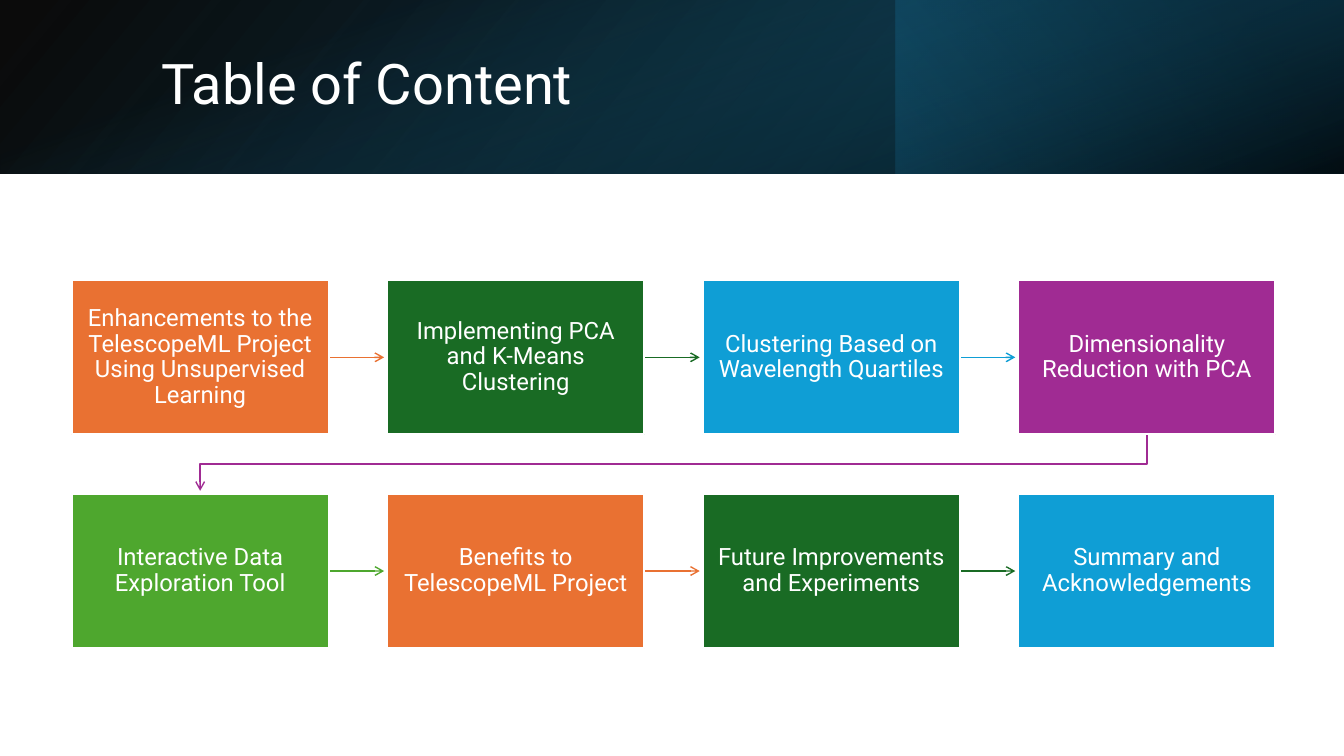
from lxml.etree import SubElement as Sub
from pptx import Presentation
from pptx.dml.color import RGBColor as RGB
from pptx.enum.shapes import MSO_CONNECTOR as Conn, MSO_SHAPE as Shape
from pptx.enum.text import MSO_ANCHOR as Anchor, PP_ALIGN as Align
from pptx.oxml.ns import qn
from pptx.util import Inches, Pt

WHITE = RGB(0xFF, 0xFF, 0xFF)
BLACK = RGB(0x00, 0x00, 0x00)
NAVY = RGB(0x10, 0x48, 0x62)
DEEP = RGB(0x0B, 0x30, 0x41)
TEAL = RGB(0x15, 0x60, 0x82)
ORANGE = RGB(0xE9, 0x71, 0x32)
GREEN = RGB(0x19, 0x6B, 0x24)
BLUE = RGB(0x0F, 0x9E, 0xD5)
PURPLE = RGB(0xA0, 0x2B, 0x93)
LIME = RGB(0x4E, 0xA7, 0x2E)
CYCLE = [ORANGE, GREEN, BLUE, PURPLE, LIME]

TOPICS = [
    "Enhancements to the TelescopeML Project Using Unsupervised Learning",
    "Implementing PCA and K-Means Clustering",
    "Clustering Based on Wavelength Quartiles",
    "Dimensionality Reduction with PCA",
    "Interactive Data Exploration Tool",
    "Benefits to TelescopeML Project",
    "Future Improvements and Experiments",
    "Summary and Acknowledgements",
]

COLS = 4
LEFT, TOP = 0.71, 2.78
WIDE, HIGH = 2.55, 1.53
STEP, DROP = 3.13, 2.12
GAP = 0.03
BAND = 1.72


class Deck:
    """Holds the style and the current slide, and draws each kind of element."""

    def __init__(self, font="Roboto", wide=13.33, high=7.5):
        self.font, self.wide = font, wide
        self.prs = Presentation()
        self.prs.slide_width, self.prs.slide_height = Inches(wide), Inches(high)
        self.slide = self.prs.slides.add_slide(self.prs.slide_layouts[5])
        self.shapes = self.slide.shapes

    def cell(self, num):
        """Return the left and top of a numbered grid cell."""
        row, col = divmod(num, COLS)
        return LEFT + col * STEP, TOP + row * DROP

    def rect(self, x, y, w, h):
        """Add a plain rectangle."""
        box = self.shapes.add_shape(Shape.RECTANGLE, *map(Inches, (x, y, w, h)))
        box.shadow.inherit = False
        return box

    def label(self, shape, text, size, align):
        """Put one white paragraph in a shape, centred in height."""
        frame = shape.text_frame
        frame.text = text
        frame.word_wrap = True
        frame.vertical_anchor = Anchor.MIDDLE
        para = frame.paragraphs[0]
        para.alignment, para.line_spacing = align, 0.9
        font = para.runs[0].font
        font.name, font.size, font.color.rgb = self.font, Pt(size), WHITE
        return frame

    def shade(self, area, stops, angle, turn=0, flip=False):
        """Add a rectangle with a two-stop gradient that is partly see-through."""
        box = self.rect(*area)
        box.rotation = turn
        box.line.fill.background()
        box.fill.gradient()
        box.fill.gradient_angle = 360 - angle
        for stop, (place, color, alpha) in zip(box.fill.gradient_stops, stops):
            stop.position, stop.color.rgb = place, color
        props = box._element.spPr
        for tint, (place, color, alpha) in zip(props.iter(qn("a:srgbClr")), stops):
            Sub(tint, qn("a:alpha")).set("val", str(alpha * 1000))
        if flip:
            props.xfrm.set("flipH", "1")

    def title(self, text):
        """Place the title above the band."""
        head = self.shapes.title
        head.left, head.top = Inches(1.5), Inches(0.38)
        head.width, head.height = Inches(10.98), Inches(0.96)
        self.label(head, text, 40, Align.LEFT)
        self.shapes._spTree.append(head._element)

    def card(self, num, text, color):
        """Fill a grid cell with a coloured topic."""
        box = self.rect(*self.cell(num), WIDE, HIGH)
        box.fill.solid()
        box.fill.fore_color.rgb = color
        box.line.color.rgb, box.line.width = WHITE, Pt(1.5)
        frame = self.label(box, text, 17, Align.CENTER)
        frame.margin_left = frame.margin_right = Inches(0.12)
        frame.margin_top = frame.margin_bottom = Inches(0.13)

    def link(self, num, color):
        """Draw the arrow from a grid cell to the next one."""
        x, y = self.cell(num)
        to_x, to_y = self.cell(num + 1)
        if y == to_y:
            mid = Inches(y + HIGH / 2)
            line = self.shapes.add_connector(
                Conn.STRAIGHT, Inches(x + WIDE), mid, Inches(to_x - GAP), mid)
        else:
            start, end = x + WIDE / 2, to_x + WIDE / 2
            mid = (y + HIGH + to_y) / 2
            pen = self.shapes.build_freeform(Inches(start), Inches(y + HIGH))
            turns = [(start, mid), (end, mid), (end, to_y - GAP)]
            pen.add_line_segments(
                [(Inches(a), Inches(b)) for a, b in turns], close=False)
            line = pen.convert_to_shape()
            line.fill.background()
        line.line.color.rgb, line.line.width = color, Pt(1)
        props = line._element.spPr
        Sub(props.find(qn("a:ln")), qn("a:tailEnd")).set("type", "arrow")
        Sub(props, qn("a:effectLst"))


def main():
    deck = Deck()
    wide = deck.wide
    deck.shade((0, 0, wide, BAND), [(0, BLACK, 96), (1, NAVY, 100)], 140, flip=True)
    deck.shade((wide * 2 / 3, 0, wide / 3, BAND),
               [(0.19, DEEP, 68), (1, TEAL, 79)], 320, turn=180)
    shift = (wide - BAND) / 2
    deck.shade((shift, -shift, BAND, wide),
               [(0.23, TEAL, 0), (0.99, BLACK, 74)], 340, turn=90)
    deck.title("Table of Content")

    colors = [CYCLE[num % len(CYCLE)] for num in range(len(TOPICS))]
    for num, color in enumerate(colors[:-1]):
        deck.link(num, color)
    for num, (text, color) in enumerate(zip(TOPICS, colors)):
        deck.card(num, text, color)
    deck.prs.save("out.pptx")


if __name__ == "__main__":
    main()
